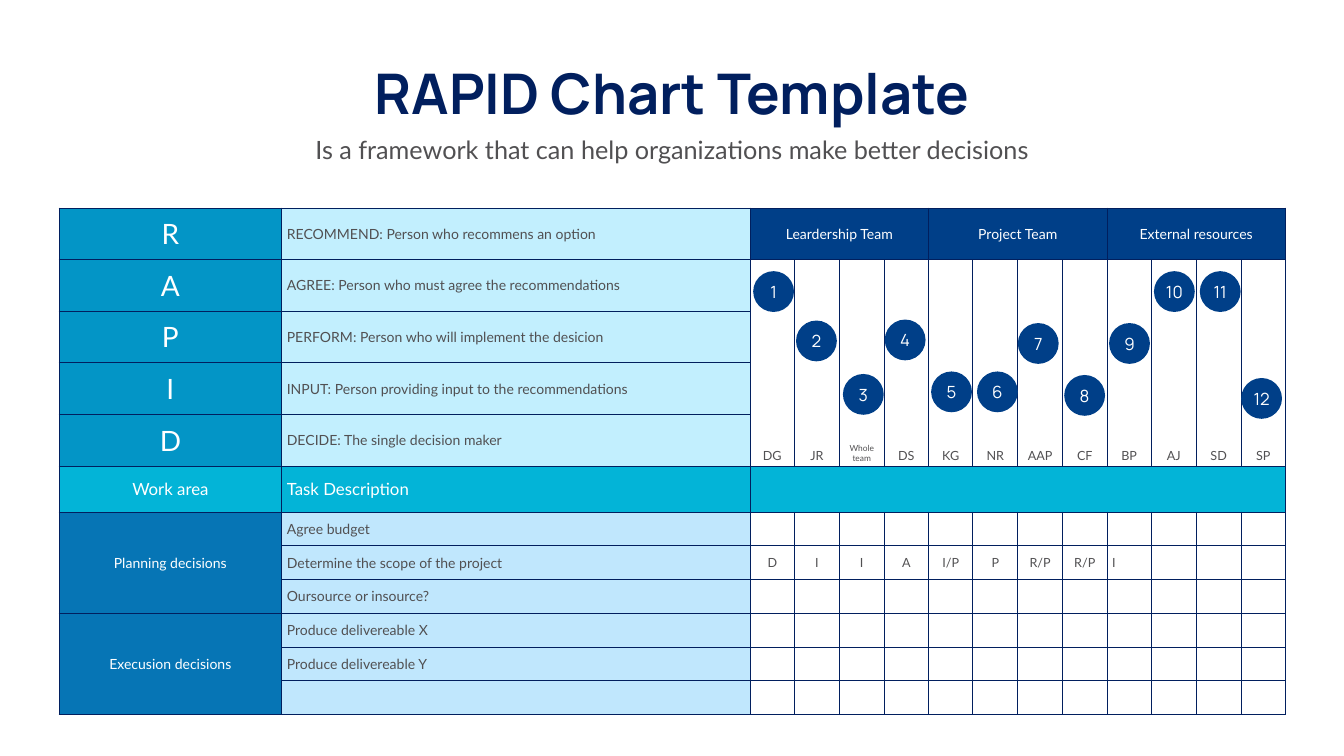
from lxml import etree
from pptx import Presentation
from pptx import util as u
from pptx.dml.color import RGBColor
from pptx.enum import shapes, text
from pptx.oxml.ns import qn

PX = 9144  # EMU per px, 100 px to the inch

NAVY = RGBColor(0x01, 0x1F, 0x5E)
BLUE = RGBColor(0x00, 0x3F, 0x88)
LETTER = RGBColor(0x03, 0x95, 0xC6)
ROLE = RGBColor(0xC2, 0xEF, 0xFE)
BAND = RGBColor(0x03, 0xB4, 0xD7)
AREA = RGBColor(0x06, 0x75, 0xB5)
TASK = RGBColor(0xC0, 0xE7, 0xFD)
GREY = RGBColor(0x51, 0x50, 0x52)
WHITE = RGBColor(0xFF, 0xFF, 0xFF)

CENTER, LEFT = text.PP_ALIGN.CENTER, text.PP_ALIGN.LEFT
TOP, MIDDLE, BOTTOM = (text.MSO_ANCHOR.TOP, text.MSO_ANCHOR.MIDDLE,
                       text.MSO_ANCHOR.BOTTOM)

ROLES = [
    ("R", "RECOMMEND: Person who recommens an option"),
    ("A", "AGREE: Person who must agree the recommendations"),
    ("P", "PERFORM: Person who will implement the desicion"),
    ("I", "INPUT: Person providing input to the recommendations"),
    ("D", "DECIDE: The single decision maker"),
]
TEAMS = ["Leardership Team", "Project Team", "External resources"]
PEOPLE = ["DG", "JR", "Whole team", "DS", "KG", "NR",
          "AAP", "CF", "BP", "AJ", "SD", "SP"]
AREAS = [
    ("Planning decisions", ["Agree budget", "Determine the scope of the project",
                            "Oursource or insource?"]),
    ("Execusion decisions", ["Produce delivereable X", "Produce delivereable Y", ""]),
]
SCOPE_ROLES = ["D", "I", "I", "A", "I/P", "P", "R/P", "R/P", "I"]
# Left and top of the numbered circles, 1 to 12
CIRCLES = [(1494, 538), (1579, 636), (1672, 742), (1755, 634),
           (1847, 737), (1938, 737), (2019, 641), (2111, 744),
           (2200, 641), (2289, 538), (2380, 538), (2462, 750)]


def put_text(tf, words, size=20, color=GREY, font="Lato", bold=False, align=CENTER):
    p = tf.paragraphs[0]
    p.alignment = align
    p.space_before = u.Pt(0)
    r = p.add_run()
    r.text = words
    r.font.name, r.font.size, r.font.bold = font, u.Pt(size), bold
    r.font.color.rgb = color


def split(total, count):
    """Divide a length into whole parts that add up to it."""
    edges = [round(total * i / count) for i in range(count + 1)]
    return [b - a for a, b in zip(edges, edges[1:])]


class Deck:
    def __init__(self, width, height):
        self.prs = Presentation()
        self.prs.slide_width, self.prs.slide_height = width * PX, height * PX
        self.s = self.prs.slides.add_slide(self.prs.slide_layouts[0])

    def placeholder(self, index, box, words, wrap=True, **style):
        sp = self.s.placeholders[index]
        sp.left, sp.top, sp.width, sp.height = (v * PX for v in box)
        tf = sp.text_frame
        tf.word_wrap = wrap
        tf.auto_size = text.MSO_AUTO_SIZE.NONE
        tf.vertical_anchor = TOP
        put_text(tf, words, **style)

    def circle(self, x, y, size, words):
        sp = self.s.shapes.add_shape(shapes.MSO_SHAPE.OVAL, x * PX, y * PX,
                                     size * PX, size * PX)
        sp.shadow.inherit = False
        sp.fill.solid()
        sp.fill.fore_color.rgb = BLUE
        sp.line.fill.background()
        tf = sp.text_frame
        tf.margin_left = tf.margin_right = 0
        tf.word_wrap = False
        tf.vertical_anchor = MIDDLE
        put_text(tf, words, size=24, color=WHITE, font="Manrope")

    def table(self, x, y, cols, rows):
        frame = self.s.shapes.add_table(len(rows), len(cols), x * PX, y * PX,
                                        sum(cols) * PX, sum(rows) * PX)
        self.tbl = frame.table
        self.tbl.first_row = self.tbl.horz_banding = False
        for col, width in zip(self.tbl.columns, cols):
            col.width = width * PX
        for row, height in zip(self.tbl.rows, rows):
            row.height = height * PX
        for cell in self.tbl.iter_cells():
            self.border(cell)
            cell.fill.background()

    def border(self, cell, color=NAVY, points=1.5):
        tc_pr = cell._tc.get_or_add_tcPr()
        for side in ("a:lnL", "a:lnR", "a:lnT", "a:lnB"):
            ln = etree.SubElement(tc_pr, qn(side), w=str(u.Pt(points)))
            fill = etree.SubElement(ln, qn("a:solidFill"))
            etree.SubElement(fill, qn("a:srgbClr"), val=str(color))

    def cell(self, row, col, words="", fill=None, span=(1, 1), anchor=MIDDLE, **style):
        cell = self.tbl.cell(row, col)
        if span != (1, 1):
            cell.merge(self.tbl.cell(row + span[0] - 1, col + span[1] - 1))
        if fill is not None:
            cell.fill.solid()
            cell.fill.fore_color.rgb = fill
        cell.vertical_anchor = anchor
        if words:
            put_text(cell.text_frame, words, **style)


def main():
    d = Deck(2666, 1500)

    # Heading
    d.placeholder(0, (689, 112, 1288, 145), "RAPID Chart Template", wrap=False,
                  size=80, color=NAVY, font="Manrope", bold=True)
    d.placeholder(1, (292, 261, 2082, 71),
                  "Is a framework that can help organizations make better decisions",
                  size=36)

    # Grid: five role rows, a band and six task rows
    d.table(117, 413, [442, 929] + split(1062, len(PEOPLE)),
            split(512, len(ROLES)) + [91] + split(402, 6))

    # Roles, teams and people
    for i, (letter, role) in enumerate(ROLES):
        d.cell(i, 0, letter, LETTER, size=40, color=WHITE)
        d.cell(i, 1, role, ROLE, align=LEFT)
    for i, team in enumerate(TEAMS):
        d.cell(0, 2 + 4 * i, team, BLUE, span=(1, 4), color=WHITE)
    for i, person in enumerate(PEOPLE):
        d.cell(1, 2 + i, person, span=(4, 1), anchor=BOTTOM,
               size=12 if person == "Whole team" else 18)

    # Band
    d.cell(5, 0, "Work area", BAND, size=24, color=WHITE)
    d.cell(5, 1, "Task Description", BAND, size=24, color=WHITE, align=LEFT)
    d.cell(5, 2, fill=BAND, span=(1, len(PEOPLE)))

    # Work areas and tasks
    for i, (area, tasks) in enumerate(AREAS):
        top = 6 + 3 * i
        d.cell(top, 0, area, AREA, span=(3, 1), color=WHITE)
        for j, task in enumerate(tasks):
            d.cell(top + j, 1, task, TASK, align=LEFT)
    last = len(SCOPE_ROLES) - 1
    for i, role in enumerate(SCOPE_ROLES):
        d.cell(7, 2 + i, role, size=18, align=LEFT if i == last else CENTER)

    # Numbered circles
    for number, (x, y) in enumerate(CIRCLES, 1):
        d.circle(x, y, 81, str(number))

    d.prs.save("out.pptx")


if __name__ == "__main__":
    main()
